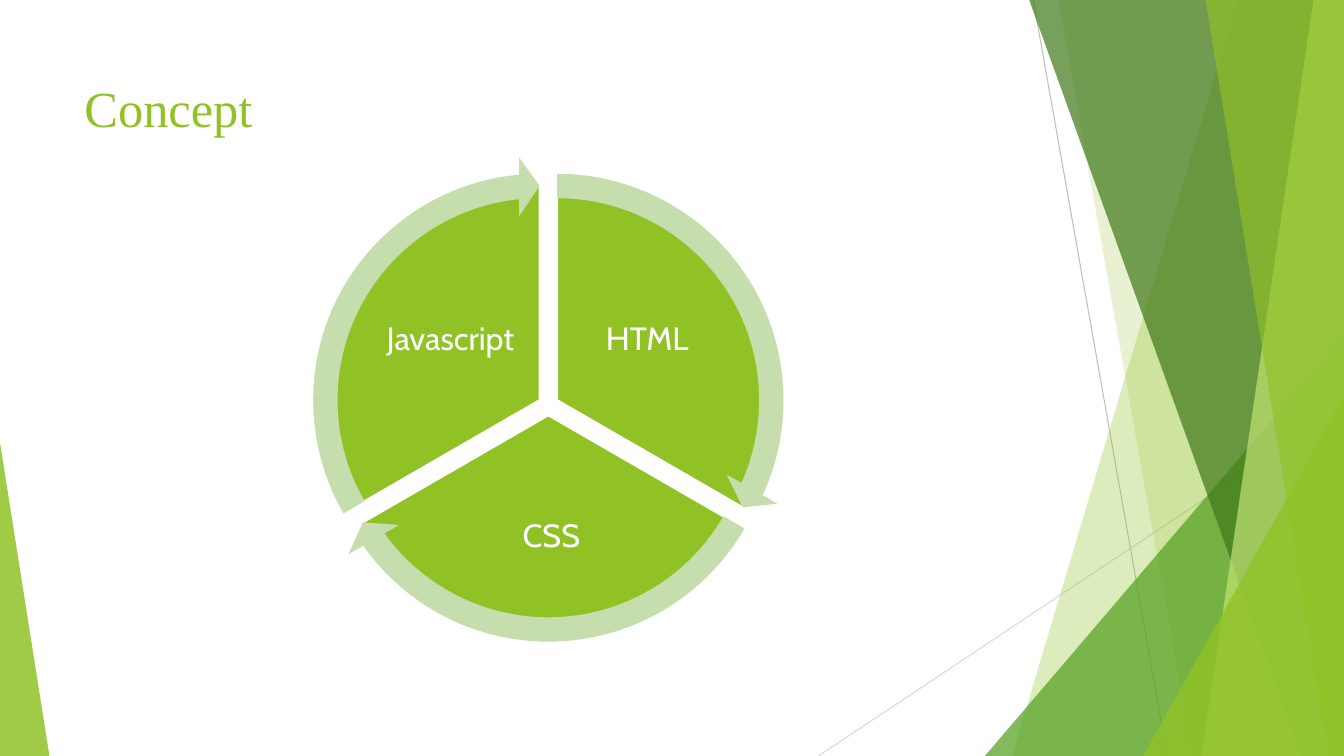
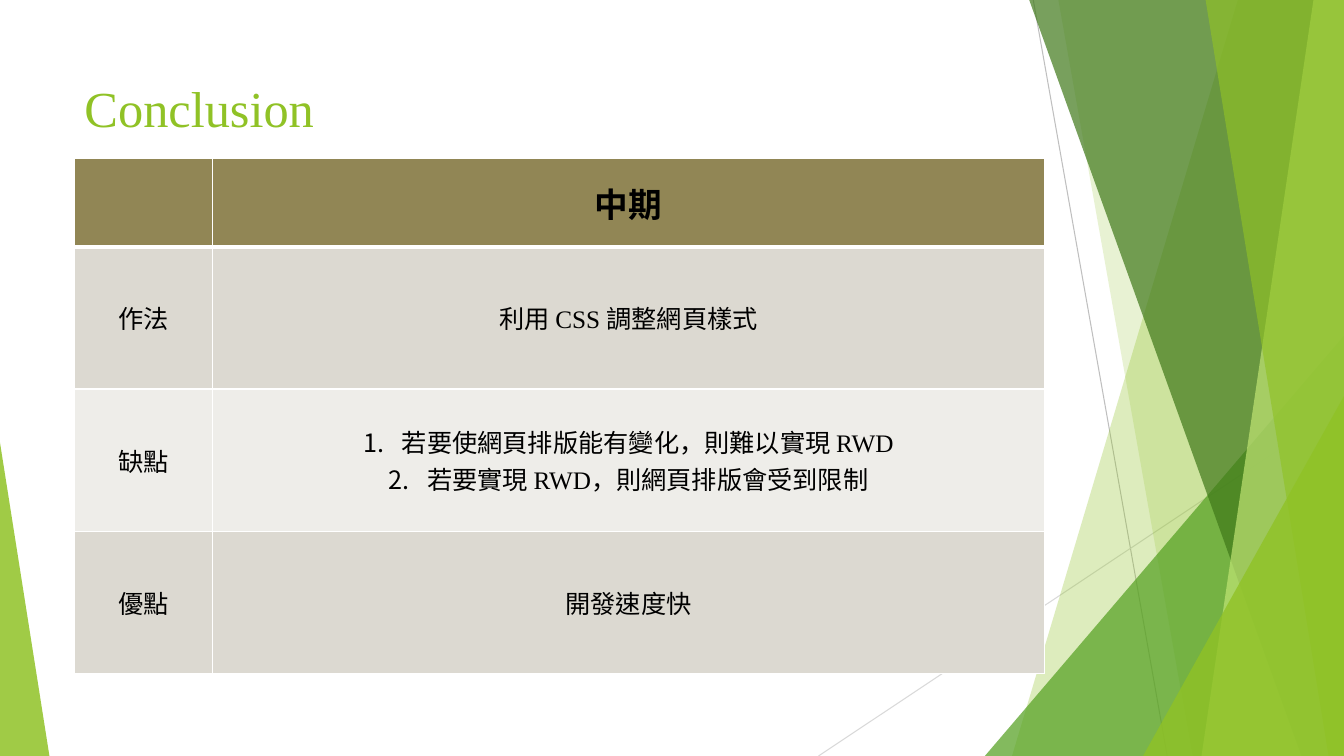
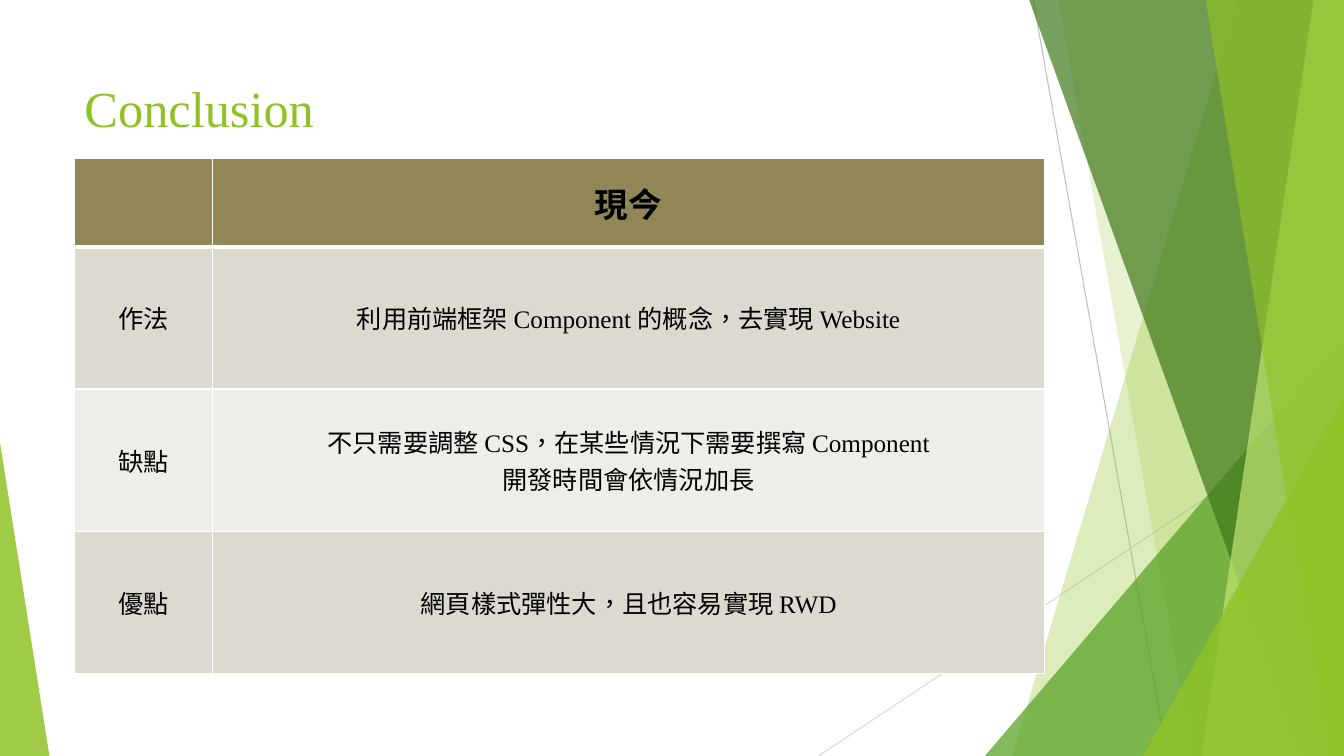
from dataclasses import dataclass
from math import cos, radians, sin

from lxml.etree import SubElement
from pptx import Presentation
from pptx.dml.color import RGBColor
from pptx.enum.lang import MSO_LANGUAGE_ID as Lang
from pptx.enum.shapes import MSO_CONNECTOR, MSO_SHAPE as Shape
from pptx.enum.text import MSO_ANCHOR as Anchor, PP_ALIGN as Align
from pptx.oxml.ns import qn
from pptx.util import Inches, Pt


@dataclass(frozen=True)
class Theme:
    green: str = "90C226"
    mid_green: str = "54A021"
    dark_green: str = "3F7819"
    light_green: str = "C0E474"
    pale_green: str = "C6DDAD"
    line_dark: str = "BFBFBF"
    line_light: str = "D9D9D9"
    header: str = "918655"
    rows: tuple = ("DCD9D1", "EEEDE9")
    white: str = "FFFFFF"
    black: str = "000000"
    serif: str = "Times New Roman"
    sans: str = "Cabin"
    title_size: int = 36
    header_size: int = 24
    label_size: int = 23
    body_size: int = 18


T = Theme()
W, H = Inches(13.33), Inches(7.5)
LEFT = 5.55  # shared left edge of titles and tables, in percent of the width


def px(share):
    """Percent of the slide width."""
    return round(W * share / 100)


def py(share):
    """Percent of the slide height."""
    return round(H * share / 100)


def rgb(color):
    return RGBColor.from_string(color)


def write(tf, text, size=T.body_size, font=T.serif, color=T.black, bold=False,
          align=Align.CENTER, spacing=None, numbered=False, lang=None):
    """Fill a text frame, one paragraph per line of text."""
    for i, line in enumerate(text.split("\n")):
        p = tf.paragraphs[0] if i == 0 else tf.add_paragraph()
        p.alignment = align
        if spacing:
            p.line_spacing = spacing
        if numbered:
            pPr = p._p.get_or_add_pPr()
            pPr.set("marL", str(Inches(0.38)))
            pPr.set("indent", str(-Inches(0.38)))
            SubElement(pPr, qn("a:buFontTx"))
            SubElement(pPr, qn("a:buAutoNum"), type="arabicPeriod")
        r = p.add_run()
        r.text = line
        r.font.size, r.font.name, r.font.bold = Pt(size), font, bold
        r.font.color.rgb = rgb(color)
        if lang:
            r.font.language_id = lang


def text_box(slide, box, text, anchor=Anchor.MIDDLE, inset=None, **style):
    x, y, w, h = box
    tf = slide.shapes.add_textbox(px(x), py(y), px(w), py(h)).text_frame
    tf.word_wrap = True
    tf.vertical_anchor = anchor
    if inset is not None:
        tf.margin_left = tf.margin_right = Inches(inset)
        tf.margin_top = tf.margin_bottom = Inches(inset)
    write(tf, text, **style)


def paint(sp, color, alpha=100, outline=None):
    sp.shadow.inherit = False
    sp.fill.solid()
    sp.fill.fore_color.rgb = rgb(color)
    if alpha < 100:
        clr = sp._element.spPr.find(qn("a:solidFill"))[0]
        SubElement(clr, qn("a:alpha"), val=str(alpha * 1000))
    if outline:
        sp.line.color.rgb = rgb(outline)
        sp.line.width = Pt(1.5)
    else:
        sp.line.fill.background()


def hairline(slide, start, end, color):
    sp = slide.shapes.add_connector(MSO_CONNECTOR.STRAIGHT, px(start[0]), py(start[1]),
                                    px(end[0]), py(end[1]))
    sp.line.color.rgb = rgb(color)
    sp.line.width = Pt(0.75)
    SubElement(sp._element.spPr, qn("a:effectLst"))


def band(slide, top, bottom, color, alpha):
    """Full-height band from a slanted left edge to the right of the slide."""
    builder = slide.shapes.build_freeform(px(top), 0)
    builder.add_line_segments([(W, 0), (W, H), (px(bottom), H)], close=True)
    paint(builder.convert_to_shape(), color, alpha)


def corner(slide, left, right, top, color, alpha, peak=1):
    """Right-angled triangle standing on the bottom edge."""
    sp = slide.shapes.add_shape(Shape.ISOSCELES_TRIANGLE, px(left), py(top),
                                px(right - left), H - py(top))
    sp.adjustments[0] = peak
    paint(sp, color, alpha)


def base_slide(prs, title):
    slide = prs.slides.add_slide(prs.slide_layouts[6])
    hairline(slide, (76.88, 0), (86.85, 100), T.line_dark)
    hairline(slide, (100, 53.73), (60.9, 100), T.line_light)
    band(slide, 92.1, 75.3, T.green, 30)
    band(slide, 78.75, 88.73, T.green, 20)
    corner(slide, 73.28, 100, 44.4, T.mid_green, 72)
    band(slide, 76.58, 96.83, T.dark_green, 70)
    band(slide, 97.73, 89.4, T.light_green, 70)
    band(slide, 89.7, 98.85, T.green, 65)
    corner(slide, 85.05, 100, 52.4, T.green, 80)
    corner(slide, 0, 3.68, 58.53, T.green, 85, peak=0)
    text_box(slide, (LEFT, 8.93, 70.5, 9.87), title, anchor=Anchor.BOTTOM,
             size=T.title_size, color=T.green, align=Align.LEFT)
    return slide


def ring_part(slide, kind, start, diameter, adjustments, color, outline=None):
    """Round shape for the 120 degree sector at start, pushed out from the centre."""
    middle, push = radians(start + 60), px(0.75)
    d = px(diameter)
    x = px(40.8) + push * cos(middle) - d / 2
    y = py(53.6) + push * sin(middle) - d / 2
    sp = slide.shapes.add_shape(kind, round(x), round(y), d, d)
    for i, value in enumerate(adjustments):
        sp.adjustments[i] = value
    paint(sp, color, outline=outline)


def cycle(slide, labels):
    """Three-part cycle: sectors with labels, then the arrows around them."""
    angle = 0.6  # adjustment units per degree
    head = 5.46  # degrees taken by an arrowhead
    starts = [(270 + 120 * i) % 360 for i in range(3)]
    ends = starts[1:] + starts[:1]
    for start, end, (text, box) in zip(starts, ends, labels):
        ring_part(slide, Shape.PIE, start, 32.25, (start * angle, end * angle),
                  T.green, outline=T.white)
        text_box(slide, box, text, inset=0.03, size=T.label_size, font=T.sans,
                 color=T.white, spacing=0.9)
    for start, end in zip(starts, ends):
        ring_part(slide, Shape.CIRCULAR_ARROW, start, 36.23,
                  (0.05, head * angle, (end - head) * angle, start * angle, 0.06),
                  T.pale_green)


def style_cell(cell, color, bottom=1):
    tcPr = cell._tc.get_or_add_tcPr()
    for side, width in (("L", 1), ("R", 1), ("T", 1), ("B", bottom)):
        ln = SubElement(tcPr, qn(f"a:ln{side}"), w=str(Pt(width)))
        SubElement(SubElement(ln, qn("a:solidFill")), qn("a:srgbClr"), val=T.white)
    cell.fill.solid()
    cell.fill.fore_color.rgb = rgb(color)
    cell.vertical_anchor = Anchor.MIDDLE


def review_table(slide, heading, rows):
    """Heading row, then rows of (label, text, format of the text)."""
    widths, heights = (10.28, 61.88), (11.73, 18.8, 18.8, 18.8)
    table = slide.shapes.add_table(len(heights), len(widths), px(LEFT), py(20.93),
                                   px(sum(widths)), py(sum(heights))).table
    table.first_row = table.horz_banding = False
    for column, width in zip(table.columns, widths):
        column.width = px(width)
    for row, height in zip(table.rows, heights):
        row.height = py(height)
    for cell in table.rows[0].cells:
        style_cell(cell, T.header, bottom=3)
    write(table.cell(0, 1).text_frame, heading, size=T.header_size, bold=True,
          lang=Lang.TRADITIONAL_CHINESE)
    for i, (label, text, style) in enumerate(rows, 1):
        for j, (content, extra) in enumerate(((label, {}), (text, style))):
            cell = table.cell(i, j)
            style_cell(cell, T.rows[(i - 1) % 2])
            write(cell.text_frame, content,
                  **{"lang": Lang.TRADITIONAL_CHINESE, **extra})


def main():
    prs = Presentation()
    prs.slide_width, prs.slide_height = W, H

    cycle(base_slide(prs, "Concept"), [
        ("HTML", (42.38, 36.4, 11.55, 17.07)),
        ("CSS", (32.4, 63.47, 17.25, 15.07)),
        ("Javascript", (27.75, 36.4, 11.55, 17.07)),
    ])
    review_table(base_slide(prs, "Conclusion"), "中期", [
        ("作法", "利用 CSS 調整網頁樣式", {}),
        ("缺點", "若要使網頁排版能有變化，則難以實現 RWD\n若要實現 RWD，則網頁排版會受到限制",
         {"numbered": True, "lang": Lang.SIMPLIFIED_CHINESE}),
        ("優點", "開發速度快", {}),
    ])
    review_table(base_slide(prs, "Conclusion"), "現今", [
        ("作法", "利用前端框架 Component 的概念，去實現 Website", {}),
        ("缺點", "不只需要調整 CSS，在某些情況下需要撰寫 Component\n開發時間會依情況加長", {}),
        ("優點", "網頁樣式彈性大，且也容易實現 RWD", {}),
    ])
    prs.save("out.pptx")


if __name__ == "__main__":
    main()
